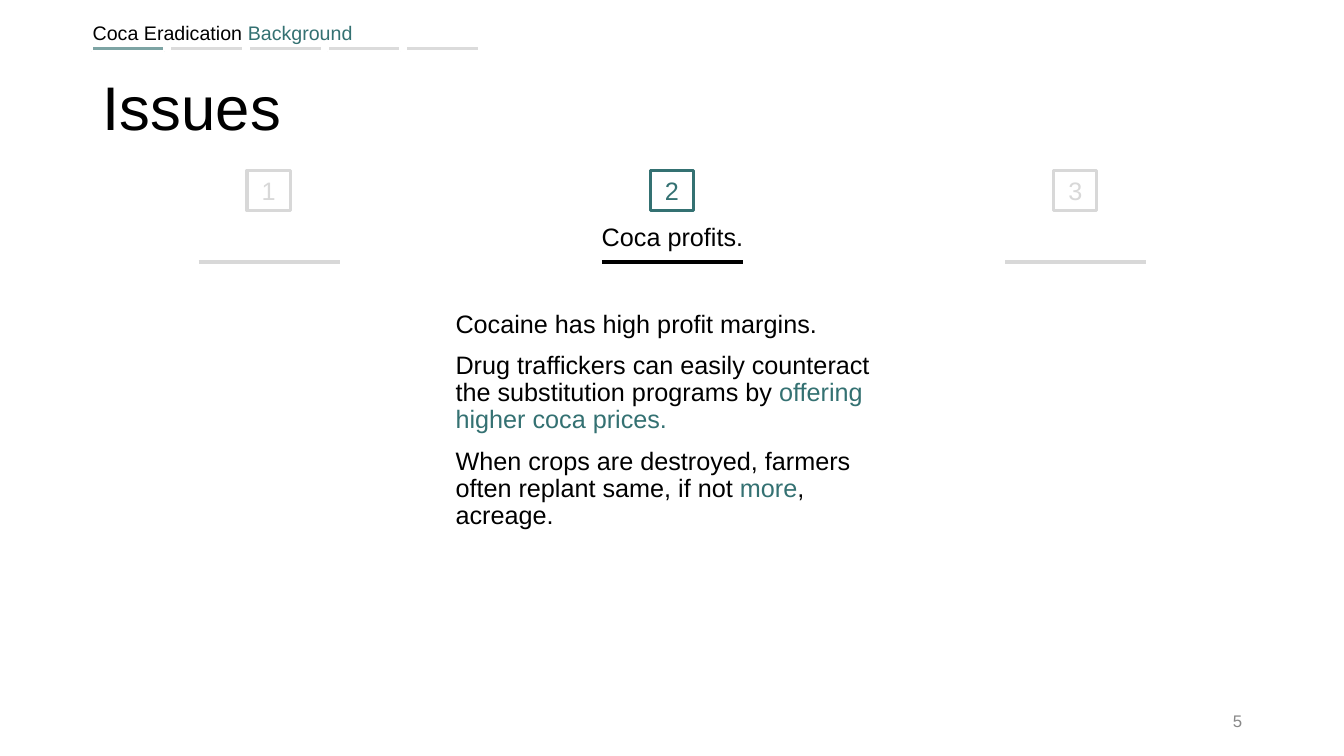
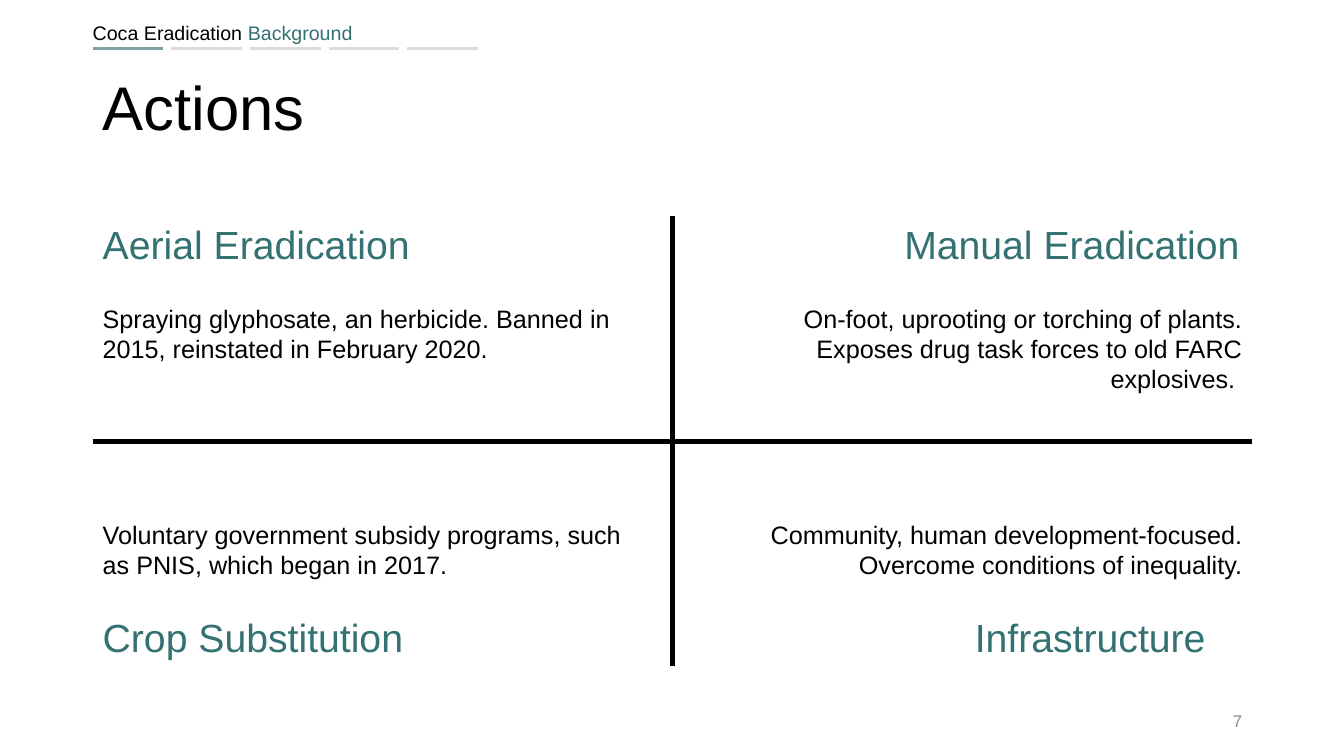
import pptx
import pptx.dml.color
import pptx.enum.shapes
import pptx.enum.text
import pptx.oxml.ns
import pptx.util
from lxml import etree

Inches, Pt = pptx.util.Inches, pptx.util.Pt
ALIGN = pptx.enum.text.PP_ALIGN
ANCHOR = pptx.enum.text.MSO_ANCHOR
RECTANGLE = pptx.enum.shapes.MSO_SHAPE.RECTANGLE

FONT = "Arial"
BLACK, WHITE, TEAL = "000000", "FFFFFF", "347172"
PALE, BAR_GREY, NUMBER_GREY = "D8D8D8", "DBDBDB", "888888"
LEFT, RIGHT, CENTER = 0.92, 12.42, 6.67

# Paragraphs are lists of (text, colour) runs.
BREADCRUMB = [[("Coca Eradication ", BLACK), ("Background", TEAL)]]
SECTION_COUNT, CURRENT_SECTION = 5, 0

ISSUES = {
    "title": "Issues",
    "number": "5",
    "steps": ["1", "2", "3"],
    "current": 1,
    "heading": "Coca profits.",
    "points": [
        [("Cocaine has high profit margins.", BLACK)],
        [("Drug traffickers can easily counteract the substitution programs by ", BLACK),
         ("offering higher coca prices.", TEAL)],
        [("When crops are destroyed, farmers often replant same, if not ", BLACK),
         ("more", TEAL), (", acreage.", BLACK)],
    ],
}

# Each quadrant: heading, heading width, description; read row by row.
ACTIONS = {
    "title": "Actions",
    "number": "7",
    "quadrants": [
        ("Aerial Eradication", 4.69,
         "Spraying glyphosate, an herbicide. Banned in 2015, reinstated in February 2020."),
        ("Manual Eradication", 3.55,
         "On-foot, uprooting or torching of plants. Exposes drug task forces to old FARC explosives. "),
        ("Crop Substitution", 4.69,
         "Voluntary government subsidy programs, such as PNIS, which began in 2017."),
        ("Infrastructure", 2.85,
         "Community, human development-focused. Overcome conditions of inequality."),
    ],
}


def rgb(color):
    return pptx.dml.color.RGBColor.from_string(color)


def write(shape, paragraphs, size, align=ALIGN.LEFT, anchor=ANCHOR.TOP,
          line_spacing=None, gap=0):
    frame = shape.text_frame
    frame.word_wrap = True
    frame.auto_size = pptx.enum.text.MSO_AUTO_SIZE.NONE
    frame.vertical_anchor = anchor
    for index, runs in enumerate(paragraphs):
        paragraph = frame.add_paragraph() if index else frame.paragraphs[0]
        paragraph.alignment = align
        paragraph.line_spacing = line_spacing
        paragraph.space_before = Pt(gap if index else 0)
        for text, color in runs:
            run = paragraph.add_run()
            run.text = text
            run.font.name = FONT
            run.font.size = Pt(size)
            run.font.color.rgb = rgb(color)


def add_text(slide, x, y, width, height, paragraphs, size, **style):
    box = slide.shapes.add_textbox(Inches(x), Inches(y), Inches(width), Inches(height))
    write(box, paragraphs, size, **style)


def add_rectangle(slide, x, y, width, height, fill=None, line=None, line_width=1.5):
    box = slide.shapes.add_shape(
        RECTANGLE, Inches(x), Inches(y), Inches(width), Inches(height))
    box.shadow.inherit = False
    if fill:
        box.fill.solid()
        box.fill.fore_color.rgb = rgb(fill)
    else:
        box.fill.background()
    if line:
        box.line.color.rgb = rgb(line)
        box.line.width = Pt(line_width)
    else:
        box.line.fill.background()
    return box


def set_opacity(shape, percent):
    color = shape.fill._xPr.find(".//" + pptx.oxml.ns.qn("a:srgbClr"))
    etree.SubElement(color, pptx.oxml.ns.qn("a:alpha"), val=str(percent * 1000))


def add_line(slide, x1, y1, x2, y2, color):
    line = slide.shapes.add_connector(
        pptx.enum.shapes.MSO_CONNECTOR.STRAIGHT,
        Inches(x1), Inches(y1), Inches(x2), Inches(y2))
    line.line.color.rgb = rgb(color)
    line.line.width = Pt(3)
    etree.SubElement(line._element.spPr, pptx.oxml.ns.qn("a:effectLst"))


def start_slide(deck, content):
    """Add a slide with the shared breadcrumb, progress bar, title and number."""
    slide = deck.slides.add_slide(deck.slide_layouts[5])
    add_text(slide, 0.82, 0.16, 5.98, 0.34, BREADCRUMB, 14)
    for section in range(SECTION_COUNT):
        current = section == CURRENT_SECTION
        bar = add_rectangle(slide, 0.91 + 0.78 * section, 0.46, 0.72, 0.05,
                            TEAL if current else BAR_GREY, WHITE)
        if current:
            set_opacity(bar, 64)
    title = slide.shapes.title
    title.left, title.top = Inches(LEFT), Inches(0.37)
    title.width, title.height = Inches(RIGHT - LEFT), Inches(1.45)
    write(title, [[(content["title"], BLACK)]], 44,
          anchor=ANCHOR.MIDDLE, line_spacing=0.9)
    add_text(slide, RIGHT - 3, 6.95, 3, 0.4, [[(content["number"], NUMBER_GREY)]], 12,
             align=ALIGN.RIGHT, anchor=ANCHOR.MIDDLE)
    return slide


def build_issues(deck):
    slide = start_slide(deck, ISSUES)
    current = ISSUES["current"]
    for index, label in enumerate(ISSUES["steps"]):
        middle = CENTER + 4 * (index - 1)
        color = TEAL if index == current else PALE
        number_box = add_rectangle(slide, middle - 0.22, 1.69, 0.43, 0.4,
                                   line=color, line_width=2.25)
        write(number_box, [[(label, color)]], 18, align=ALIGN.CENTER)
        add_line(slide, middle - 0.7, 2.6, middle + 0.7, 2.6,
                 BLACK if index == current else PALE)
    add_text(slide, CENTER - 1.75, 2.15, 3.5, 0.4, [[(ISSUES["heading"], BLACK)]], 18,
             align=ALIGN.CENTER)
    body = add_rectangle(slide, 4.42, 3.04, 4.66, 4, WHITE)
    write(body, ISSUES["points"], 18, line_spacing=0.9, gap=10)


def build_actions(deck):
    slide = start_slide(deck, ACTIONS)
    add_line(slide, CENTER, 2.14, CENTER, 6.61, BLACK)
    add_line(slide, LEFT, 4.38, RIGHT, 4.38, BLACK)
    rows = [(2.14, 2.96, 1.01), (6.04, 5.1, 0.69)]
    text_width = 5.56
    for index, (heading, heading_width, description) in enumerate(ACTIONS["quadrants"]):
        row, on_right = divmod(index, 2)
        heading_y, text_y, text_height = rows[row]
        heading_x = RIGHT - heading_width if on_right else LEFT
        text_x = RIGHT - text_width if on_right else LEFT
        add_text(slide, heading_x, heading_y, heading_width, 0.57, [[(heading, TEAL)]], 28)
        add_text(slide, text_x, text_y, text_width, text_height,
                 [[(description, BLACK)]], 18,
                 align=ALIGN.RIGHT if on_right else ALIGN.LEFT)


def main():
    deck = pptx.Presentation()
    deck.slide_width, deck.slide_height = Inches(13.33), Inches(7.5)
    build_issues(deck)
    build_actions(deck)
    deck.save("out.pptx")


if __name__ == "__main__":
    main()
